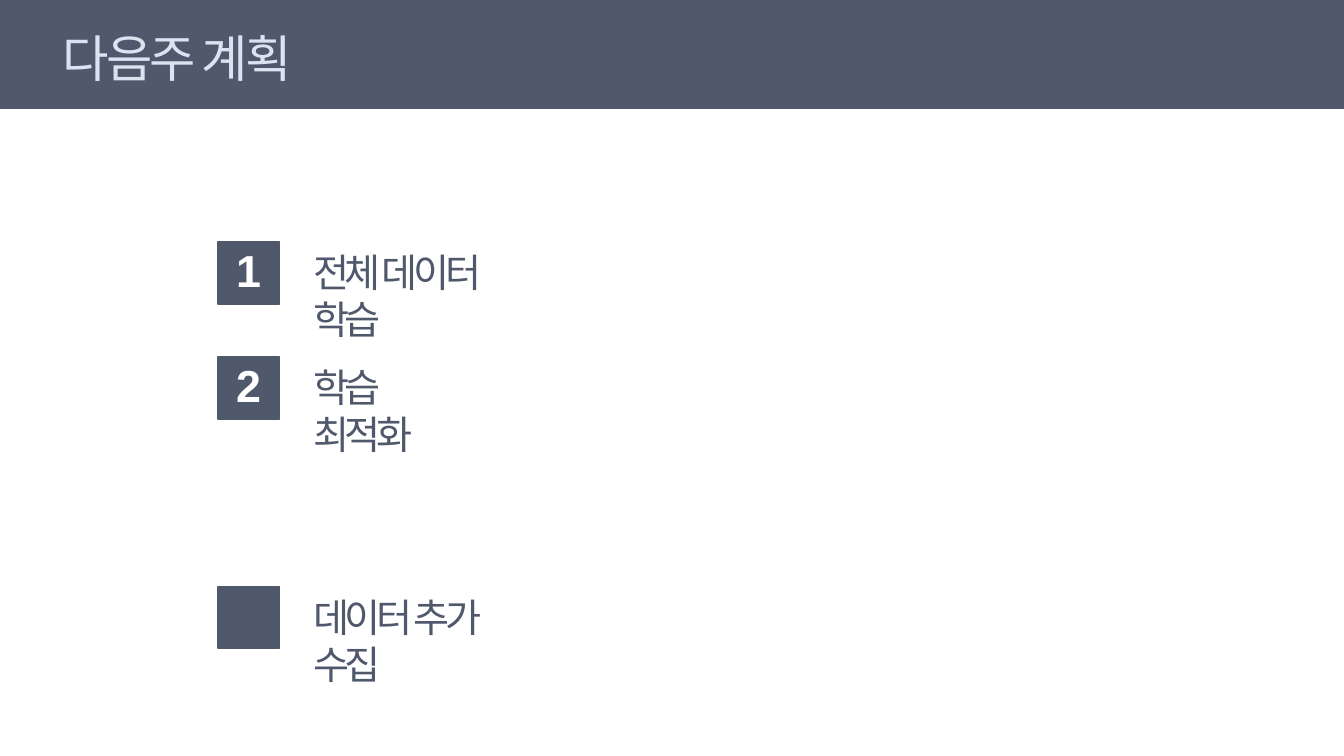
from lxml import etree
from pptx import Presentation
from pptx.dml.color import RGBColor
from pptx.enum.shapes import MSO_SHAPE
from pptx.enum.text import MSO_ANCHOR, MSO_AUTO_SIZE, PP_ALIGN
from pptx.oxml.ns import qn
from pptx.util import Pt

RECT = MSO_SHAPE.RECTANGLE
TOP = MSO_ANCHOR.TOP
NO_FIT = MSO_AUTO_SIZE.NONE
LEFT, CENTER = PP_ALIGN.LEFT, PP_ALIGN.CENTER

SLIDE_W, SLIDE_H = 1440, 810
SLATE, PALE, WHITE = "50586C", "DCE2F0", "FFFFFF"
KOREAN, LATIN = "Noto Sans CJK KR", "Arial"
LIST_X, LIST_Y, ROW_STEP = 233.3, 259.2, 123.1
BADGE = 66.24

# row on the grid, number, label, label width
PLANS = [
    (0, "1", "전체 데이터 학습", 265),
    (1, "2", "학습 최적화", 190.8),
    (3, "", "데이터 추가 수집", 265),
]


def color(value):
    return RGBColor.from_string(value)


def place(sp, x, y, w, h):
    sp.left, sp.top, sp.width, sp.height = Pt(x), Pt(y), Pt(w), Pt(h)


def add_block(shapes, x, y, w, h, line=None):
    sp = shapes.add_shape(RECT, Pt(x), Pt(y), Pt(w), Pt(h))
    sp.shadow.inherit = False
    sp.fill.solid()
    sp.fill.fore_color.rgb = color(SLATE)
    if line:
        sp.line.color.rgb = color(SLATE)
        sp.line.width = Pt(line)
    else:
        sp.line.fill.background()
    return sp


def write(sp, text, size, font, ink, align=LEFT, bold=False, tracking=0, wrap=True):
    tf = sp.text_frame
    tf.text = text
    tf.word_wrap = wrap
    tf.auto_size = NO_FIT
    tf.vertical_anchor = TOP
    p = tf.paragraphs[0]
    p.alignment = align
    r = p.runs[0]
    r.font.size = Pt(size)
    r.font.name = font
    r.font.bold = bold
    r.font.color.rgb = color(ink)
    if font == KOREAN:
        tf.margin_top = Pt(6.6)
        p.line_spacing = Pt(size * 1.2)
        rPr = r._r.get_or_add_rPr()
        rPr.set("spc", str(int(tracking * 100)))
        etree.SubElement(rPr, qn("a:ea")).set("typeface", font)


def add_header(s, x, y, w, h):
    band = add_block(s.shapes, x, y, w, h)
    title = s.shapes.title
    title._element.addprevious(band._element)
    place(title, x + 59.8, y + 22.3, 486, 72.7)
    write(title, "다음주 계획", 54, KOREAN, PALE, tracking=-3)


def add_plan(s, x, y, number, label, label_w):
    shapes = s.shapes.add_group_shape().shapes
    add_block(shapes, x, y, BADGE, BADGE, line=2)
    if number:
        tb = shapes.add_textbox(Pt(x + 12.2), Pt(y - 2.9), Pt(41.8), Pt(65.5))
        write(tb, number, 48, LATIN, WHITE, CENTER, bold=True, wrap=False)
    tb = shapes.add_textbox(Pt(x + 95), Pt(y + 0.7), Pt(label_w), Pt(58.3))
    write(tb, label, 42, KOREAN, SLATE, tracking=-4.5)


def main():
    prs = Presentation()
    prs.slide_width, prs.slide_height = Pt(SLIDE_W), Pt(SLIDE_H)
    s = prs.slides.add_slide(prs.slide_layouts[5])
    add_header(s, 0, 0, SLIDE_W, 116.6)
    for row, number, label, label_w in PLANS:
        add_plan(s, LIST_X, LIST_Y + row * ROW_STEP, number, label, label_w)
    prs.save("out.pptx")


if __name__ == "__main__":
    main()
